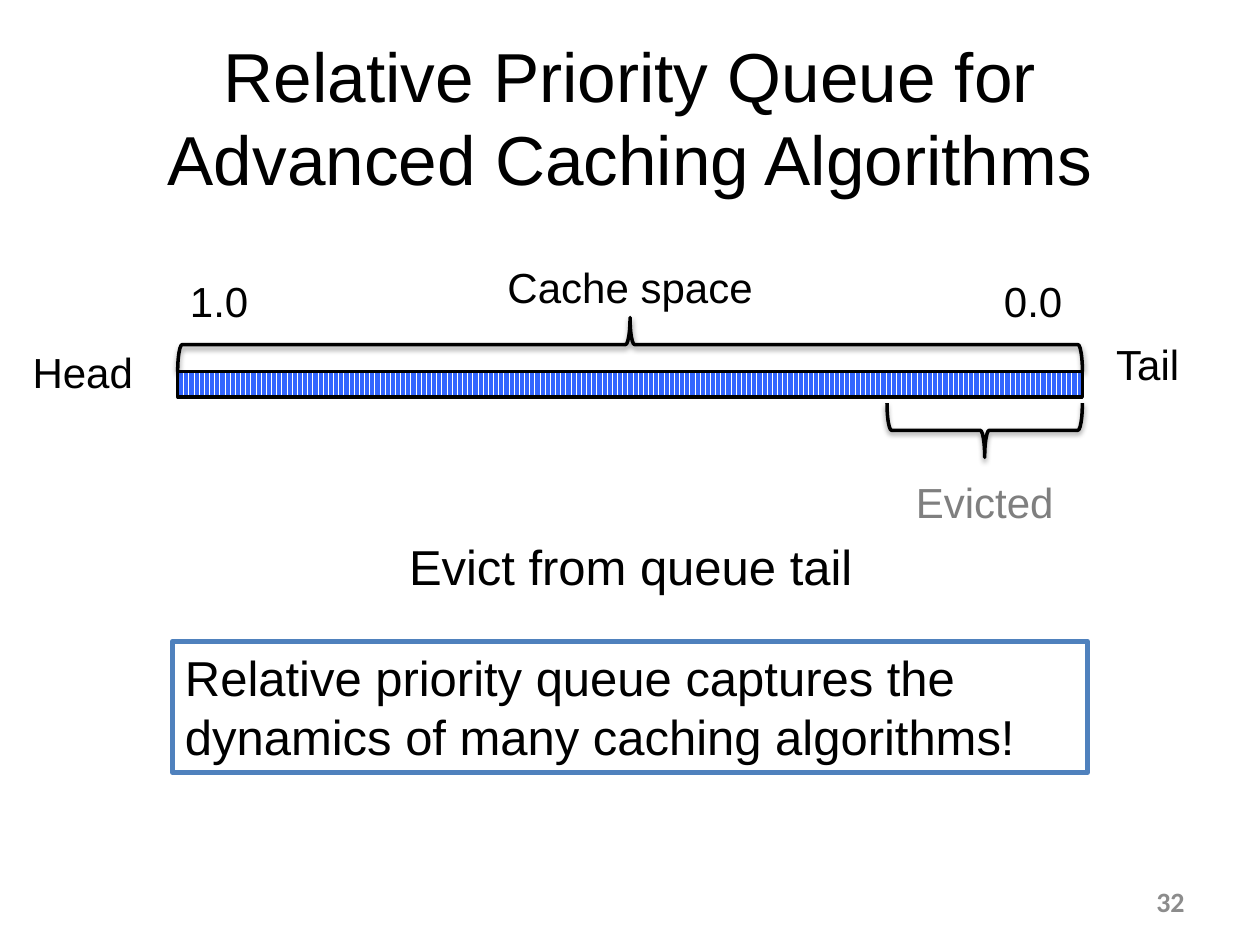
from collections import namedtuple

from lxml import etree
from pptx import Presentation
from pptx.dml.color import RGBColor
from pptx.enum.dml import MSO_PATTERN
from pptx.enum.shapes import MSO_SHAPE
from pptx.enum.text import MSO_ANCHOR, PP_ALIGN
from pptx.oxml.ns import qn
from pptx.util import Inches, Pt

LEFT, CENTER, RIGHT = PP_ALIGN.LEFT, PP_ALIGN.CENTER, PP_ALIGN.RIGHT
TOP, MIDDLE = MSO_ANCHOR.TOP, MSO_ANCHOR.MIDDLE
RECTANGLE, BRACE = MSO_SHAPE.RECTANGLE, MSO_SHAPE.LEFT_BRACE
STRIPES = MSO_PATTERN.DARK_VERTICAL

COLUMNS, ROWS = 100, 75
UNIT = Inches(10) / COLUMNS
BLACK, WHITE, GRAY = "000000", "FFFFFF", "7F7F7F"
BRACE_DEPTH, LABEL_HEIGHT = 4.3, 5

# Left, top, width and height in grid columns and rows
Box = namedtuple("Box", "x y w h")


def color(hex_code):
    return RGBColor.from_string(hex_code)


def place(box):
    return [round(length * UNIT) for length in box]


def write(shape, lines, size, align=LEFT, anchor=TOP, ink=BLACK,
          font="Arial", bold=False, wrap=True):
    frame = shape.text_frame
    frame.word_wrap = wrap
    frame.vertical_anchor = anchor
    paragraph = frame.paragraphs[0]
    paragraph.alignment = align
    for number, line in enumerate(lines):
        if number:
            paragraph.add_line_break()
        run = paragraph.add_run()
        run.text = line
        run.font.size = Pt(size)
        run.font.name = font
        run.font.bold = bold
        run.font.color.rgb = color(ink)


def add_text(slide, box, lines, size, **style):
    write(slide.shapes.add_textbox(*place(box)), lines, size, **style)


def add_outlined(slide, kind, box, line_color, width):
    shape = slide.shapes.add_shape(kind, *place(box))
    shape.shadow.inherit = False
    shape.line.color.rgb = color(line_color)
    shape.line.width = Pt(width)
    return shape


def add_soft_shadow(shape):
    effects = shape._element.spPr.find(qn("a:effectLst"))
    shadow = etree.SubElement(
        effects, qn("a:outerShdw"), blurRad=str(Pt(3.1)), dist=str(Pt(1.6)),
        dir="5400000", rotWithShape="0")
    ink = etree.SubElement(shadow, qn("a:srgbClr"), val=BLACK)
    etree.SubElement(ink, qn("a:alpha"), val="38000")


def add_flat_brace(slide, box, rotation):
    """Turn an upright brace so that it fills the given wide box."""
    upright = Box(box.x + (box.w - box.h) / 2, box.y + (box.h - box.w) / 2,
                  box.h, box.w)
    brace = add_outlined(slide, BRACE, upright, BLACK, 2)
    brace.fill.background()
    brace.rotation = rotation
    add_soft_shadow(brace)


def add_queue(slide, bar):
    """Draw the striped queue with its braces and labels around the bar."""
    right = bar.x + bar.w
    queue = add_outlined(slide, RECTANGLE, bar, BLACK, 2)
    queue.fill.patterned()
    queue.fill.pattern = STRIPES
    queue.fill.fore_color.rgb = color("3366FF")
    queue.fill.back_color.rgb = color(WHITE)

    add_flat_brace(slide, Box(bar.x, bar.y - BRACE_DEPTH, bar.w, BRACE_DEPTH), 90)
    evicted_width = 15.5
    add_flat_brace(slide, Box(right - evicted_width, bar.y + 2.5,
                              evicted_width, BRACE_DEPTH), 270)

    for label, x, y, width, style in (
            ("Cache space", bar.x + bar.w / 2 - 13.75, -9.2, 27.5, {"align": CENTER}),
            ("Head", bar.x - 12.5, -2.5, 11.1, {}),
            ("Tail", right + 1.7, -3.1, 11.1, {}),
            ("1.0", bar.x, -8.1, 6.7, {"wrap": False}),
            ("0.0", right - 7.2, -8.1, 6.7, {"wrap": False}),
            ("Evicted", right - evicted_width / 2 - 10.1, 7.8, 20.2,
             {"align": CENTER, "ink": GRAY})):
        add_text(slide, Box(x, bar.y + y, width, LABEL_HEIGHT), [label], 24, **style)


def add_takeaway(slide, box):
    panel = add_outlined(slide, RECTANGLE, box, "4F81BD", 3)
    panel.fill.solid()
    panel.fill.fore_color.rgb = color(WHITE)
    write(panel, ["Relative priority queue captures the",
                  "dynamics of many caching algorithms!"], 28)


def main():
    deck = Presentation()
    deck.slide_width = round(COLUMNS * UNIT)
    deck.slide_height = round(ROWS * UNIT)
    slide = deck.slides.add_slide(deck.slide_layouts[6])

    add_text(slide, Box(5, 3, 90, 12.5),
             ["Relative Priority Queue for", "Advanced Caching Algorithms"],
             39.6, align=CENTER, anchor=MIDDLE)
    add_queue(slide, Box(14.1, 29.5, 71.8, 2))
    add_text(slide, Box(22.3, 42.1, 55.5, 5.7), ["Evict from queue tail"], 28,
             align=CENTER)
    add_takeaway(slide, Box(13.7, 50.9, 72.6, 10.4))
    add_text(slide, Box(71.7, 69.5, 23.3, 4), ["32"], 16, align=RIGHT,
             anchor=MIDDLE, ink="8C8C8C", font="Calibri", bold=True)
    deck.save("out.pptx")


if __name__ == "__main__":
    main()
